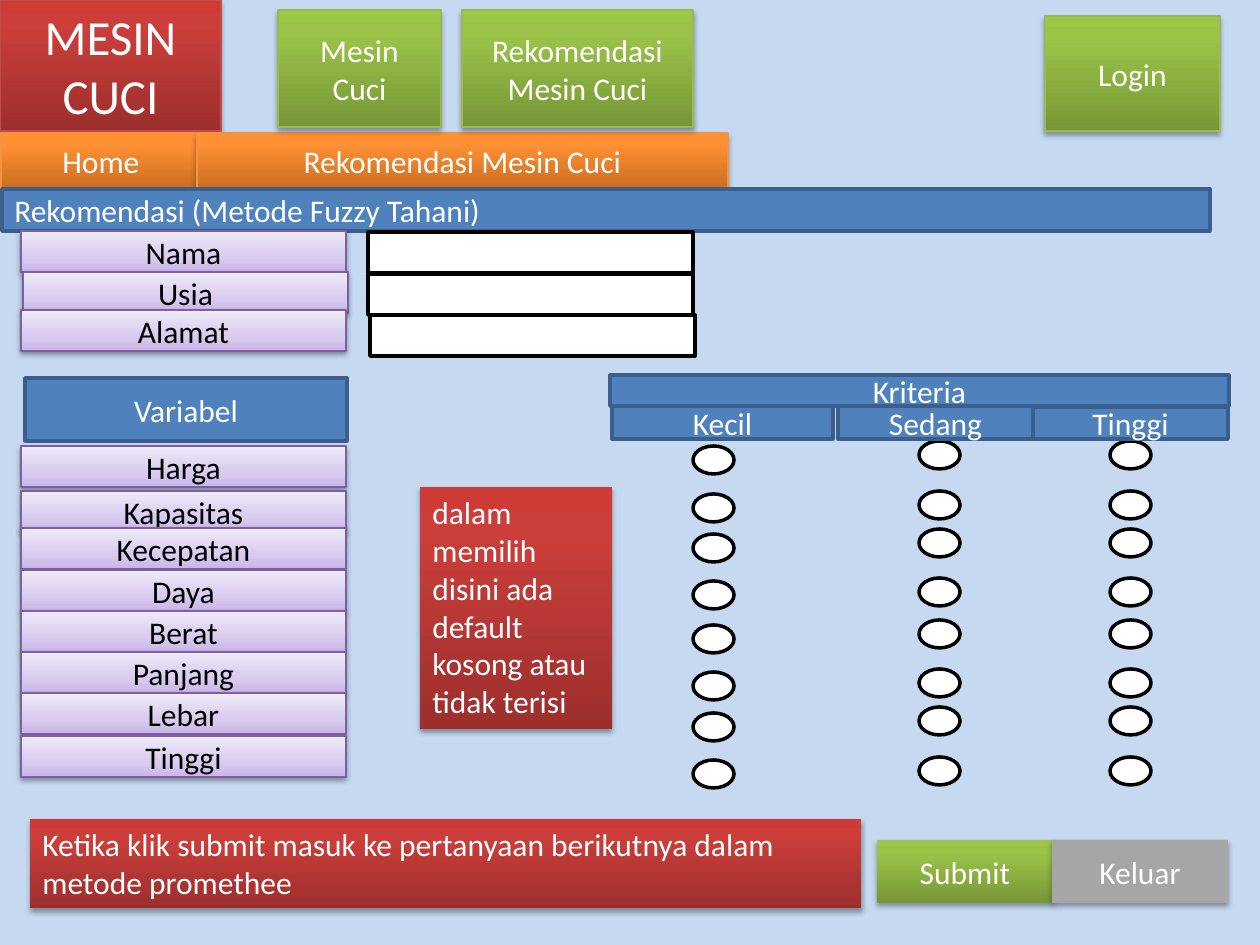
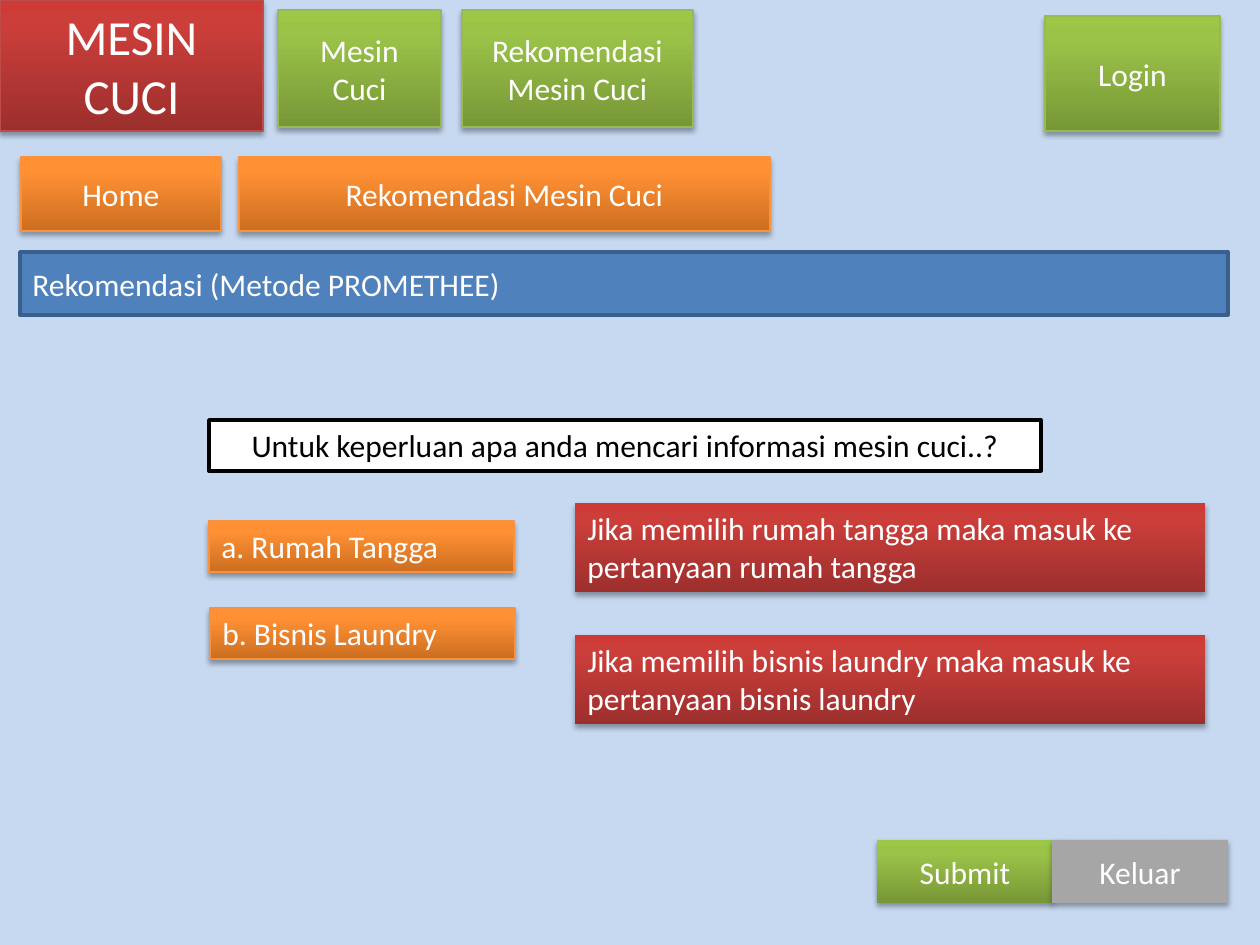
from dataclasses import dataclass
from pptx import Presentation
from pptx import util as u
from pptx.dml.color import RGBColor
from pptx.enum import shapes, text
from pptx.oxml import parse_xml
from pptx.oxml.ns import nsdecls, qn

SCALE = 914400 / 126


def px(n):
    return u.Emu(round(n * SCALE))


@dataclass(frozen=True)
class Look:
    """Fill is one colour, or gradient stops (percent, colour) from the bottom up."""
    fill: object
    line: str = None
    weight: float = 0.75
    ink: str = "FFFFFF"
    shade: tuple = None  # opacity in percent, distance in points


class Theme:
    font = "Calibri"
    back = "C6D9F1"
    size, big = 18, 28
    soft = (35, 1.8)
    reds = ((0, "9C2F2D"), (80, "CB3E3A"), (100, "CE3B37"))
    greens = ((0, "779737"), (80, "9BC348"), (100, "9DC746"))
    oranges = ((0, "CC6E20"), (80, "FF9034"), (100, "FF9136"))
    violets = ((0, "C9B5E8"), (35, "D8CBEE"), (100, "F0EAF9"))
    logo = Look(reds, "BF4C48", shade=soft)
    note = Look(reds, shade=soft)
    menu = Look(greens, "98B955", shade=soft)
    send = Look(greens, shade=soft)
    exit = Look("A6A6A6", shade=soft)
    tab = Look(oranges, "F69240", shade=soft)
    bar = Look("4F81BD", "3A5F8C", 2)
    label = Look(violets, "7D60A0", ink="000000", shade=(38, 1.6))
    field = Look("FFFFFF", "000000", 2, "000000")


class Page:
    def __init__(self, deck, theme):
        self.deck, self.theme = deck, theme
        self.slide = None

    def start(self):
        self.slide = self.deck.slides.add_slide(self.deck.slide_layouts[6])
        fill = self.slide.background.fill
        fill.solid()
        fill.fore_color.rgb = RGBColor.from_string(self.theme.back)

    def paint(self, shape, look):
        if isinstance(look.fill, str):
            shape.fill.solid()
            shape.fill.fore_color.rgb = RGBColor.from_string(look.fill)
        else:
            shape.fill.gradient()
            shape.fill.gradient_angle = 90
            stops = shape.element.spPr.find(qn("a:gradFill")).find(qn("a:gsLst"))
            for old in list(stops):
                stops.remove(old)
            for pos, tint in look.fill:
                stops.append(parse_xml(
                    f'<a:gs {nsdecls("a")} pos="{pos * 1000}">'
                    f'<a:srgbClr val="{tint}"/></a:gs>'))
        if look.line:
            shape.line.color.rgb = RGBColor.from_string(look.line)
            shape.line.width = u.Pt(look.weight)
        else:
            shape.line.fill.background()
        shape.shadow.inherit = False
        if look.shade:
            alpha, dist = look.shade
            shape.element.spPr.find(qn("a:effectLst")).append(parse_xml(
                f'<a:outerShdw {nsdecls("a")} blurRad="{u.Pt(3.1)}" '
                f'dist="{u.Pt(dist)}" dir="5400000" rotWithShape="0">'
                f'<a:srgbClr val="000000"><a:alpha val="{alpha * 1000}"/>'
                '</a:srgbClr></a:outerShdw>'))

    def shape(self, kind, look, x, y, w, h):
        item = self.slide.shapes.add_shape(kind, px(x), px(y), px(w), px(h))
        self.paint(item, look)
        return item

    def box(self, look, x, y, w, h, words="", left=False, grow=False, size=None):
        item = self.shape(shapes.MSO_SHAPE.RECTANGLE, look, x, y, w, h)
        if not words:
            return
        frame = item.text_frame
        frame.word_wrap = True
        frame.vertical_anchor = text.MSO_ANCHOR.TOP if grow else text.MSO_ANCHOR.MIDDLE
        if grow:
            frame.auto_size = text.MSO_AUTO_SIZE.SHAPE_TO_FIT_TEXT
        para = frame.paragraphs[0]
        para.text = words
        para.alignment = text.PP_ALIGN.LEFT if left else text.PP_ALIGN.CENTER
        para.font.name = self.theme.font
        para.font.size = u.Pt(size or self.theme.size)
        para.font.color.rgb = RGBColor.from_string(look.ink)

    def note(self, x, y, w, h, words):
        self.box(self.theme.note, x, y, w, h, words, left=True, grow=True)

    def radio(self, x, y):
        self.shape(shapes.MSO_SHAPE.OVAL, self.theme.field, x, y, 41, 28)

    def frame(self, logo, tabs, tall, bar, title):
        """Logo, menu, tabs, title bar and the two bottom buttons."""
        t = self.theme
        self.box(t.logo, 0, 0, logo, 131, "MESIN CUCI", grow=True, size=t.big)
        (home, rekom), top = tabs
        self.box(t.tab, home, top, 200, tall, "Home")
        self.box(t.tab, rekom, top, 531, tall, "Rekomendasi Mesin Cuci")
        self.box(t.menu, 278, 10, 163, 117, "Mesin Cuci")
        self.box(t.menu, 462, 10, 231, 117, "Rekomendasi Mesin Cuci")
        self.box(t.menu, 1045, 16, 175, 115, "Login")
        x, y, h = bar
        self.box(t.bar, x, y, 1208, h, title, left=True)
        self.box(t.send, 877, 840, 176, 63, "Submit")
        self.box(t.exit, 1052, 840, 176, 63, "Keluar")


def fuzzy(page):
    t = page.theme
    page.start()
    page.frame(221, ((1, 197), 133), 55, (2, 189, 42),
               "Rekomendasi (Metode Fuzzy Tahani)")
    rows = (("Harga", 446, 446, 441), ("Kapasitas", 491, 494, 491),
            ("Kecepatan", 528, 534, 529), ("Daya", 570, 581, 578),
            ("Berat", 611, 625, 620), ("Panjang", 652, 672, 669),
            ("Lebar", 693, 713, 707), ("Tinggi", 736, 760, 757))
    for name, y, low, high in rows:
        page.box(t.label, 21, y, 325, 41, name)
        for x, top in ((693, low), (919, high), (1110, high)):
            page.radio(x, top)
    heads = (("Variabel", 25, 378, 322, 63), ("Kriteria", 610, 375, 619, 31),
             ("Kecil", 612, 406, 221, 33), ("Sedang", 838, 406, 195, 33),
             ("Tinggi", 1033, 407, 195, 32))
    for name, *place in heads:
        page.box(t.bar, *place, name)
    page.note(420, 487, 192, 242,
              "dalam memilih disini ada default kosong atau tidak terisi")
    page.note(30, 819, 831, 89, "Ketika klik submit masuk ke pertanyaan "
              "berikutnya dalam metode promethee")
    asks = (("Nama", 21, 231, 368, 232), ("Usia", 23, 272, 368, 274),
            ("Alamat", 21, 310, 370, 315))
    for name, x, y, left, top in asks:
        page.box(t.label, x, y, 325, 41, name)
        page.box(t.field, left, top, 325, 41)


def promethee(page):
    t = page.theme
    page.start()
    page.frame(263, ((21, 239), 157), 74, (20, 252, 63),
               "Rekomendasi (Metode PROMETHEE)")
    page.box(t.field, 209, 420, 832, 51,
             "Untuk keperluan apa anda mencari informasi mesin cuci..?", grow=True)
    picks = (("a. Rumah Tangga", "rumah tangga", 209, 521, 503),
             ("b. Bisnis Laundry", "bisnis laundry", 210, 608, 635))
    for name, use, x, y, top in picks:
        page.box(t.tab, x, y, 305, 51, name, left=True, grow=True)
        page.note(575, top, 630, 89,
                  f"Jika memilih {use} maka masuk ke pertanyaan {use}")


def main():
    deck = Presentation()
    deck.slide_width, deck.slide_height = px(1260), px(945)
    page = Page(deck, Theme())
    fuzzy(page)
    promethee(page)
    deck.save("out.pptx")


if __name__ == "__main__":
    main()
